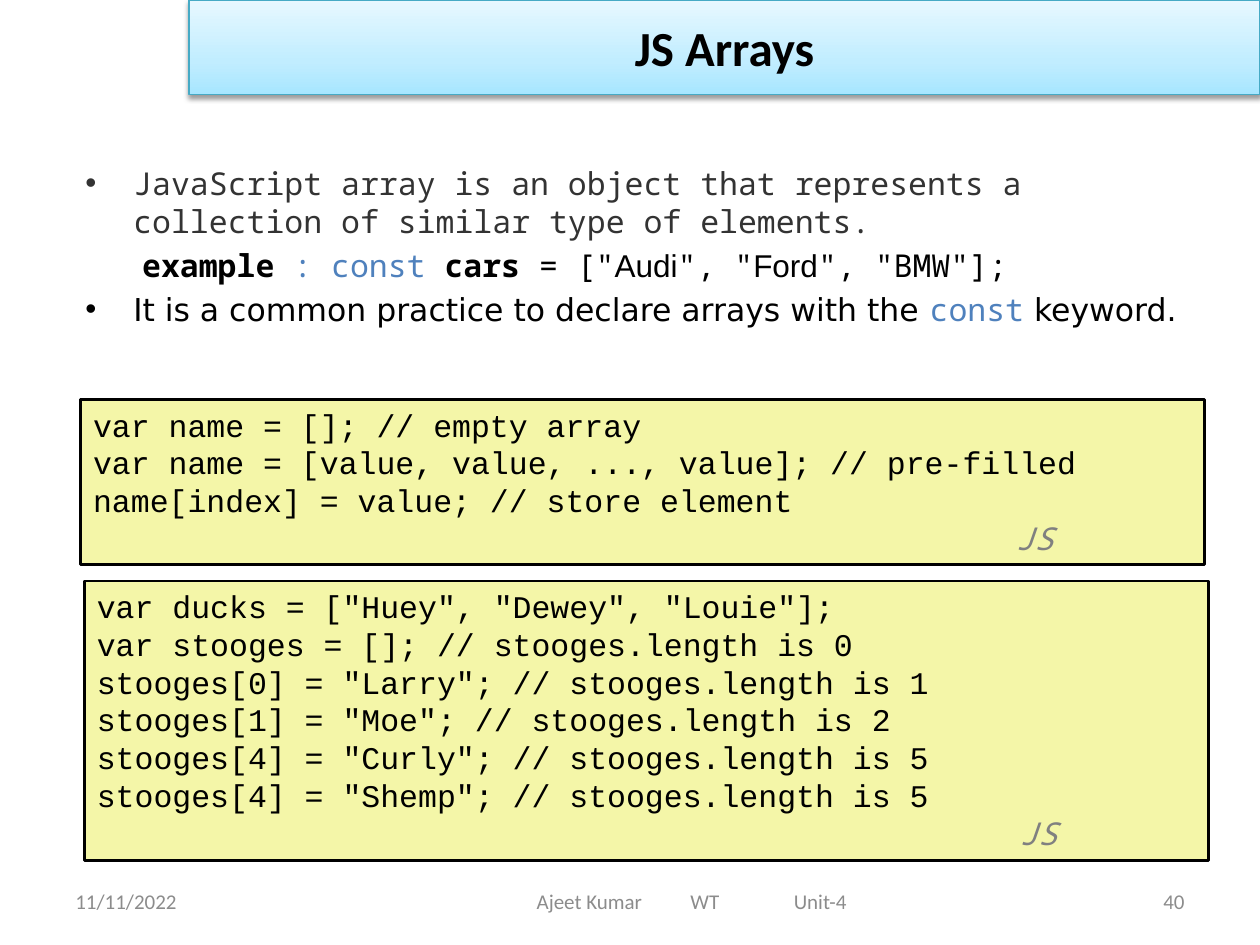
from pptx import Presentation
from pptx.dml.color import RGBColor
from pptx.enum.shapes import MSO_SHAPE
from pptx.enum.text import MSO_ANCHOR, PP_ALIGN
from pptx.oxml import parse_xml
from pptx.oxml.ns import nsdecls
from pptx.util import Inches, Pt

RECTANGLE = MSO_SHAPE.RECTANGLE
TOP, MIDDLE = MSO_ANCHOR.TOP, MSO_ANCHOR.MIDDLE
LEFT, CENTER, RIGHT = PP_ALIGN.LEFT, PP_ALIGN.CENTER, PP_ALIGN.RIGHT

MONO, SANS, COURIER = "Noto Sans Mono", "DejaVu Sans", "Courier New"
BLACK, BLUE, GRAY, DARK = "000000", "4F81BD", "808080", "333333"
FOOTER_GRAY, CODE_FILL, TITLE_LINE = "8C8C8C", "F4F6A8", "46AAC5"
TITLE_STOPS = [(0, "A7E6FF"), (35, "C1EDFF"), (100, "E7F8FF")]

SYNTAX_CODE = [
    "var name = []; // empty array",
    "var name = [value, value, ..., value]; // pre-filled",
    "name[index] = value; // store element",
]
EXAMPLE_CODE = [
    'var ducks = ["Huey", "Dewey", "Louie"];',
    "var stooges = []; // stooges.length is 0",
    'stooges[0] = "Larry"; // stooges.length is 1',
    'stooges[1] = "Moe"; // stooges.length is 2',
    'stooges[4] = "Curly"; // stooges.length is 5',
    'stooges[4] = "Shemp"; // stooges.length is 5',
]
# Each point: bulleted or not, then runs of (text, font, colour, bold)
POINTS = [
    (True, [("JavaScript array is an object that represents a collection "
             "of similar type of elements.", MONO, DARK, False)]),
    (False, [("example", MONO, BLACK, True),
             (" : const ", MONO, BLUE, False),
             ("cars", MONO, BLACK, True),
             (' = ["', MONO, BLACK, False),
             ("Audi", "Arial", BLACK, False),
             ('", "', MONO, BLACK, False),
             ("Ford", "Arial", BLACK, False),
             ('", "BMW"];', MONO, BLACK, False)]),
    (True, [("It is a common practice to declare arrays with the ",
             SANS, BLACK, False),
            ("const", MONO, BLUE, False),
            (" keyword.", SANS, BLACK, False)]),
]


def set_font(font, name, size, color, bold=False, italic=False):
    font.name, font.size = name, Pt(size)
    font.bold, font.italic = bold, italic
    font.color.rgb = RGBColor.from_string(color)


def set_indent(paragraph, left, first=0):
    properties = paragraph._p.get_or_add_pPr()
    properties.set("marL", str(Inches(left)))
    properties.set("indent", str(Inches(first)))


def paragraphs(frame, count):
    """Return the frame's first paragraph and enough new ones to make count."""
    return [frame.paragraphs[0]] + [frame.add_paragraph()
                                    for _ in range(count - 1)]


def add_title(slide, text):
    title = slide.shapes.title
    title.left, title.top = Inches(1.5), 0
    title.width, title.height = Inches(8.5), Inches(0.75)
    stops = "".join(
        f'<a:gs pos="{position * 1000}"><a:srgbClr val="{color}"/></a:gs>'
        for position, color in TITLE_STOPS)
    properties = title._element.spPr
    properties.append(parse_xml(
        f'<a:gradFill {nsdecls("a")} rotWithShape="1"><a:gsLst>{stops}'
        '</a:gsLst><a:lin ang="16200000" scaled="0"/></a:gradFill>'))
    title.line.color.rgb = RGBColor.from_string(TITLE_LINE)
    title.line.width = Pt(0.75)
    properties.append(parse_xml(
        f'<a:effectLst {nsdecls("a")}><a:outerShdw blurRad="{Pt(3.1)}" '
        f'dist="{Pt(1.6)}" dir="5400000" rotWithShape="0">'
        '<a:srgbClr val="000000"><a:alpha val="38000"/></a:srgbClr>'
        '</a:outerShdw></a:effectLst>'))
    frame = title.text_frame
    frame.vertical_anchor = MIDDLE
    frame.text = text
    heading = frame.paragraphs[0]
    heading.alignment = CENTER
    set_font(heading.font, "Calibri", 28, BLACK, bold=True)


def add_text_box(slide, left, top, width, height, anchor):
    box = slide.shapes.add_textbox(Inches(left), Inches(top),
                                   Inches(width), Inches(height))
    box.text_frame.word_wrap = True
    box.text_frame.vertical_anchor = anchor
    return box.text_frame


def add_points(slide):
    frame = add_text_box(slide, 0.58, 1.25, 9, 5.58, TOP)
    lines = paragraphs(frame, len(POINTS))
    for index, (paragraph, (bulleted, runs)) in enumerate(zip(lines, POINTS)):
        paragraph.line_spacing = Pt(21.6)
        if index:
            paragraph.space_before = Pt(3.6)
        if bulleted:
            set_indent(paragraph, 0.38, -0.38)
            properties = paragraph._p.get_or_add_pPr()
            for bullet in ('buFont {} typeface="Arial"', 'buChar {} char="•"'):
                properties.append(parse_xml(
                    f'<a:{bullet.format(nsdecls("a"))}/>'))
        else:
            set_indent(paragraph, 0.45)
        for text, name, color, bold in runs:
            run = paragraph.add_run()
            run.text = text
            set_font(run.font, name, 18, color, bold)


def add_code(slide, left, top, height, code):
    """Add a code panel with the language label on its last line."""
    panel = slide.shapes.add_shape(RECTANGLE, Inches(left), Inches(top),
                                   Inches(8.92), Inches(height))
    panel.shadow.inherit = False
    panel.fill.solid()
    panel.fill.fore_color.rgb = RGBColor.from_string(CODE_FILL)
    panel.line.color.rgb = RGBColor.from_string(BLACK)
    panel.line.width = Pt(1.5)
    frame = panel.text_frame
    frame.word_wrap = True
    frame.vertical_anchor = TOP
    *code_lines, label = paragraphs(frame, len(code) + 1)
    for paragraph, text in zip(code_lines, code):
        paragraph.text = text
        set_font(paragraph.font, COURIER, 18, BLACK)
    label.text = "JS"
    set_indent(label, 7.32)
    set_font(label.font, MONO, 18, GRAY, italic=True)
    for paragraph in frame.paragraphs:
        paragraph.alignment = LEFT
        paragraph.line_spacing = Pt(21.6)


def add_footer(slide, left, width, text, alignment=LEFT, inset=0.1, tabs=()):
    frame = add_text_box(slide, left, 6.95, width, 0.4, MIDDLE)
    frame.margin_left = Inches(inset)
    paragraph = frame.paragraphs[0]
    paragraph.text = text
    paragraph.alignment = alignment
    if tabs:
        stops = "".join(f'<a:tab pos="{Inches(position)}" algn="l"/>'
                        for position in tabs)
        paragraph._p.get_or_add_pPr().append(parse_xml(
            f'<a:tabLst {nsdecls("a")}>{stops}</a:tabLst>'))
    set_font(paragraph.font, "Calibri", 12, FOOTER_GRAY)


def main():
    deck = Presentation()
    deck.slide_width, deck.slide_height = Inches(10), Inches(7.5)
    slide = deck.slides.add_slide(deck.slide_layouts[5])
    add_title(slide, "JS Arrays")
    add_points(slide)
    add_footer(slide, 0.5, 2.33, "11/11/2022")
    add_footer(slide, 2.75, 5.5, "Ajeet Kumar\tWT\tUnit-4",
               inset=1.51, tabs=(1.22, 2.04))
    add_footer(slide, 7.17, 2.33, "40", RIGHT)
    add_code(slide, 0.64, 3.17, 1.31, SYNTAX_CODE)
    add_code(slide, 0.67, 4.61, 2.22, EXAMPLE_CODE)
    deck.save("out.pptx")


if __name__ == "__main__":
    main()
